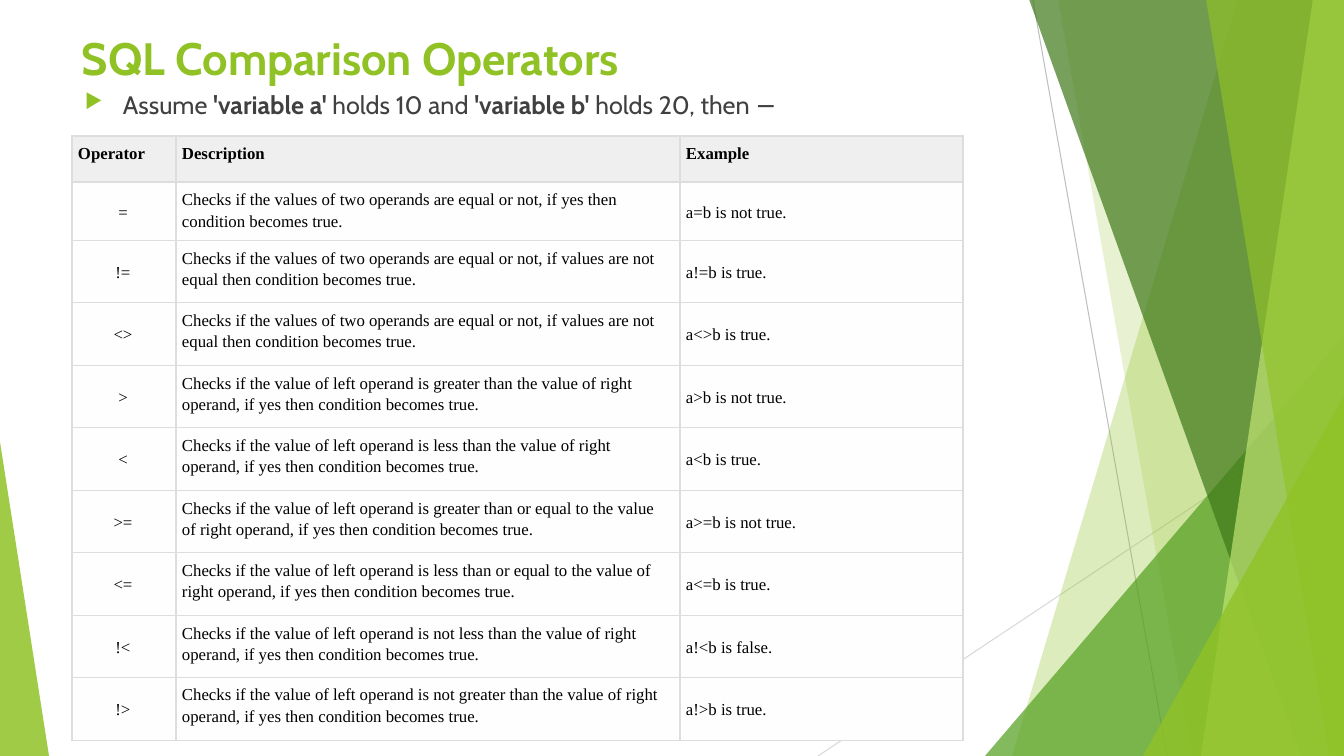
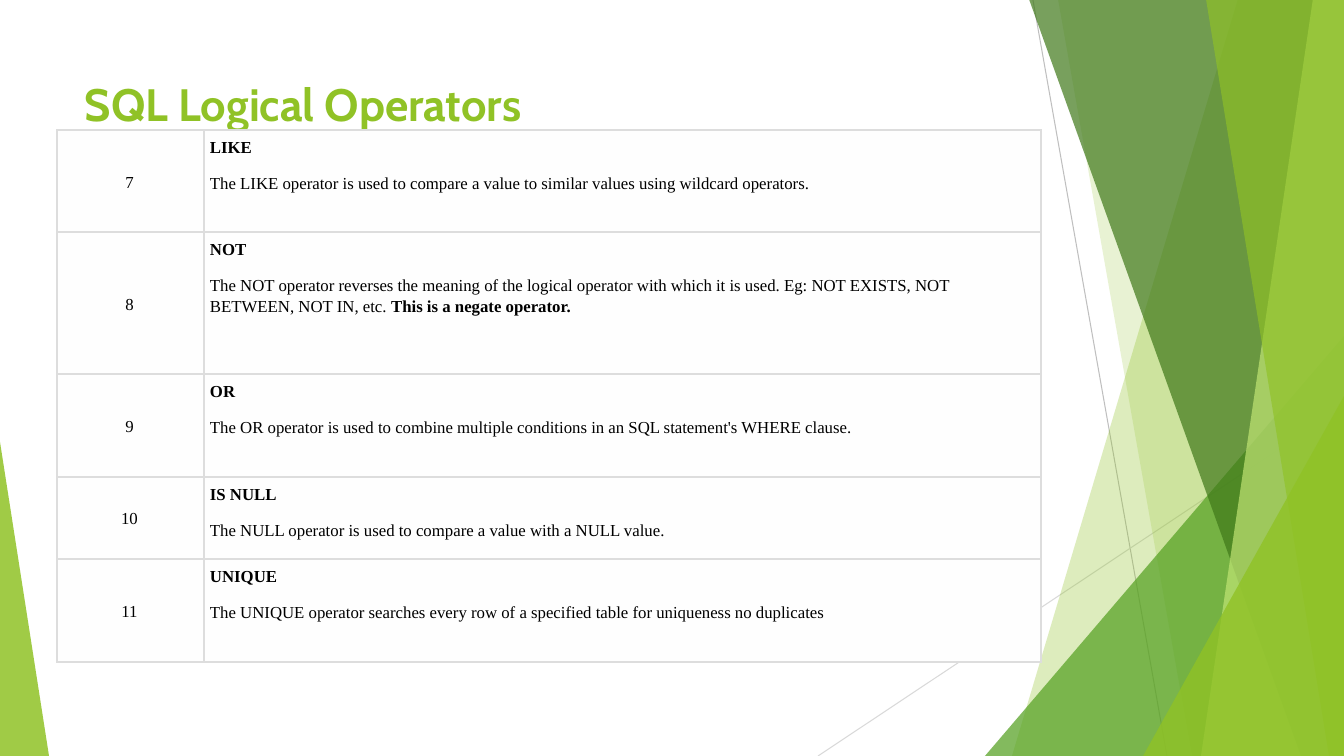
from dataclasses import dataclass

from lxml import etree
from pptx import Presentation
from pptx.dml.color import RGBColor
from pptx.enum.shapes import MSO_CONNECTOR, MSO_SHAPE
from pptx.enum.text import MSO_ANCHOR, PP_ALIGN
from pptx.oxml.ns import qn
from pptx.util import Emu, Pt

WIDE, HIGH = 1344, 756
SCALE = 12192000 / WIDE
TOP, MID = MSO_ANCHOR.TOP, MSO_ANCHOR.MIDDLE
LEFT, CENTER = PP_ALIGN.LEFT, PP_ALIGN.CENTER
LINE, WEDGE = MSO_CONNECTOR.STRAIGHT, MSO_SHAPE.ISOSCELES_TRIANGLE


@dataclass(frozen=True)
class Theme:
    """Colours, fonts and type sizes of the deck."""

    lime: str = "90C226"
    pale: str = "C0E474"
    leaf: str = "54A021"
    pine: str = "3F7819"
    ink: str = "404040"
    black: str = "000000"
    head: str = "EFEFEF"
    cell: str = "FEFEFE"
    rule: str = "DDDDDD"
    steep: str = "BFBFBF"
    slant: str = "D9D9D9"
    sans: str = "Cabin"
    serif: str = "Times New Roman"
    title: float = 32.4
    lead: float = 18
    grid: float = 12


def px(*nums):
    """Turn pixel lengths into EMU."""
    return [Emu(round(n * SCALE)) for n in nums]


def put(item, **vals):
    """Set each named value on the item."""
    for name, val in vals.items():
        setattr(item, name, val)


def node(root, tag, **vals):
    """Add an XML child with the given attributes."""
    return etree.SubElement(root, qn(tag), {k: str(v) for k, v in vals.items()})


class Deck:
    """Holds the theme and the current slide, and draws on it."""

    def __init__(self, theme):
        """Start an empty deck."""
        self.theme = theme
        self.show = Presentation()
        wide, high = px(WIDE, HIGH)
        put(self.show, slide_width=wide, slide_height=high)

    def page(self, title, left, top, high):
        """Open a slide with the shared art and a title."""
        t = self.theme
        slide = self.show.slides.add_slide(self.show.slide_layouts[6])
        self.shapes = slide.shapes
        self.line(1033, 0, 1167, HIGH, t.steep)
        self.line(WIDE, 406, 818, HIGH, t.slant)
        self.band(1238, 1012, t.lime, 30)
        self.band(1058, 1192, t.lime, 20)
        self.wedge(985, 336, 359, 1, t.leaf, 72)
        self.band(1029, 1301, t.pine, 70)
        self.band(1313, 1201, t.pale, 70)
        self.band(1206, 1329, t.lime, 65)
        self.wedge(1143, 396, 201, 1, t.lime, 80)
        self.wedge(0, 442, 49, 0, t.lime, 85)
        self.text(f"|{title}|", (left, top, 948, high), t.title, t.lime, MID)

    def line(self, left, top, right, base, tint):
        """Draw a thin straight line."""
        line = self.shapes.add_connector(LINE, *px(left, top, right, base))
        line.line.width = Pt(0.75)
        line.line.color.rgb = RGBColor.from_string(tint)
        node(line._element.spPr, "a:effectLst")

    def paint(self, shape, tint, alpha):
        """Fill a shape with a see-through colour and no outline."""
        shape.shadow.inherit = False
        shape.line.fill.background()
        shape.fill.solid()
        shape.fill.fore_color.rgb = RGBColor.from_string(tint)
        fill = shape._element.spPr.find(qn("a:solidFill"))
        node(fill[0], "a:alpha", val=alpha * 1000)

    def band(self, top, base, tint, alpha):
        """Draw a full-height band from a slanted edge to the right side."""
        form = self.shapes.build_freeform(top, -1, SCALE)
        form.add_line_segments([(WIDE, -1), (WIDE, HIGH), (base, HIGH)])
        self.paint(form.convert_to_shape(), tint, alpha)

    def wedge(self, left, top, wide, tip, tint, alpha):
        """Draw a triangle that stands on the slide's lower edge."""
        shape = self.shapes.add_shape(WEDGE, *px(left, top, wide, HIGH - top))
        shape.adjustments[0] = tip
        self.paint(shape, tint, alpha)

    def runs(self, para, text, face, size, tint):
        """Add runs to a paragraph; parts between bars are bold."""
        for i, part in enumerate(text.split("|")):
            if part:
                run = para.add_run()
                run.text = part
                put(run.font, name=face, size=Pt(size), bold=i % 2 == 1)
                run.font.color.rgb = RGBColor.from_string(tint)

    def text(self, text, box, size, tint, anchor=TOP):
        """Add a text box with one paragraph and return that paragraph."""
        frame = self.shapes.add_textbox(*px(*box)).text_frame
        put(frame, word_wrap=True, vertical_anchor=anchor)
        para = frame.paragraphs[0]
        self.runs(para, text, self.theme.sans, size, tint)
        return para

    def bullet(self, text, box):
        """Add a lead line with an arrow bullet."""
        t = self.theme
        prop = self.text(text, box, t.lead, t.ink)._p.get_or_add_pPr()
        dent, = px(38)
        for name, val in {"marL": dent, "indent": -dent}.items():
            prop.set(name, str(val))
        node(node(prop, "a:buClr"), "a:srgbClr", val=t.lime)
        node(prop, "a:buSzPct", val=80000)
        node(prop, "a:buChar", char="▶")

    def cell(self, cell, text, fill, anchor, align, gap):
        """Fill, frame and letter one table cell."""
        t = self.theme
        side, end = px(6, 8)
        put(cell, vertical_anchor=anchor, margin_left=side, margin_top=side,
            margin_right=end, margin_bottom=side)
        prop = cell._tc.get_or_add_tcPr()
        for edge in "LRTB":
            line = node(prop, f"a:ln{edge}", w=Pt(1))
            node(node(line, "a:solidFill"), "a:srgbClr", val=t.rule)
        cell.fill.solid()
        cell.fill.fore_color.rgb = RGBColor.from_string(fill)
        frame = cell.text_frame
        for i, part in enumerate(text.split("\n")):
            para = frame.add_paragraph() if i else frame.paragraphs[0]
            put(para, alignment=align, line_spacing=1.15, space_after=Pt(gap))
            self.runs(para, part, t.serif, t.grid, t.black)

    def table(self, left, top, cols, highs, rows, head=False, gap=0):
        """Add a table whose first column is centred."""
        t = self.theme
        box = px(left, top, sum(cols), sum(highs))
        table = self.shapes.add_table(len(rows), len(cols), *box).table
        put(table, first_row=head, horz_banding=False)
        for col, wide in zip(table.columns, px(*cols)):
            col.width = wide
        for row, high in zip(table.rows, px(*highs)):
            row.height = high
        for r, row in enumerate(rows):
            top_row = head and r == 0
            for c, text in enumerate(row):
                self.cell(table.cell(r, c), text,
                          t.head if top_row else t.cell,
                          TOP if top_row or c == 1 else MID,
                          CENTER if c == 0 and not top_row else LEFT, gap)


PAIR = "Checks if the values of two operands are equal or not, if "
SIDE = "Checks if the value of left operand is "
THEN = " the value of right operand, if yes then condition becomes true."
UNLIKE = PAIR + "values are not equal then condition becomes true."

COMPARE = [
    ("|Operator|", "|Description|", "|Example|"),
    ("=", PAIR + "yes then condition becomes true.", "a=b is not true."),
    ("!=", UNLIKE, "a!=b is true."),
    ("<>", UNLIKE, "a<>b is true."),
    (">", SIDE + "greater than" + THEN, "a>b is not true."),
    ("<", SIDE + "less than" + THEN, "a<b is true."),
    (">=", SIDE + "greater than or equal to" + THEN, "a>=b is not true."),
    ("<=", SIDE + "less than or equal to" + THEN, "a<=b is true."),
    ("!<", SIDE + "not less than" + THEN, "a!<b is false."),
    ("!>", SIDE + "not greater than" + THEN, "a!>b is true."),
]

LOGIC = [
    ("7", "|LIKE|\nThe LIKE operator is used to compare a value to similar "
          "values using wildcard operators."),
    ("8", "|NOT|\nThe NOT operator reverses the meaning of the logical "
          "operator with which it is used. Eg: NOT EXISTS, NOT BETWEEN, "
          "NOT IN, etc. |This is a negate operator.|"),
    ("9", "|OR|\nThe OR operator is used to combine multiple conditions in "
          "an SQL statement's WHERE clause."),
    ("10", "|IS NULL|\nThe NULL operator is used to compare a value with a "
           "NULL value."),
    ("11", "|UNIQUE|\nThe UNIQUE operator searches every row of a specified "
           "table for uniqueness no duplicates"),
]


def main():
    """Build both slides and save the deck."""
    deck = Deck(Theme())
    deck.page("SQL Comparison Operators", 72, 24, 66)
    deck.bullet("Assume |'variable a'| holds 10 and |'variable b'| "
                "holds 20, then −", (75, 84, 948, 40))
    deck.table(72, 136, (104, 504, 283), [46, 54] + [62, 63] * 4, COMPARE,
               head=True)
    deck.page("SQL Logical Operators", 75, 68, 70)
    deck.table(57, 130, (147, 837), (102, 142, 103, 82, 103), LOGIC, gap=10)
    deck.show.save("out.pptx")


if __name__ == "__main__":
    main()
